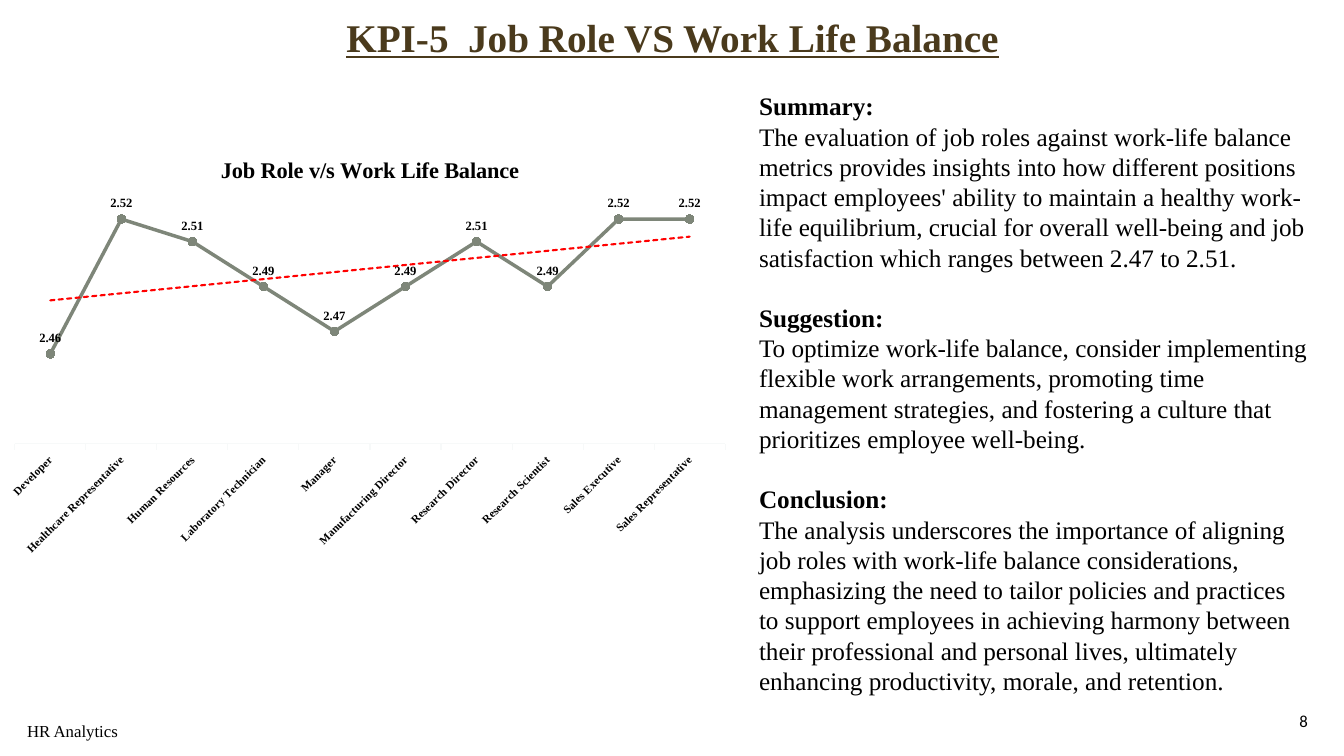
from dataclasses import dataclass

from lxml.etree import SubElement
from pptx import Presentation
from pptx.chart.data import CategoryChartData
from pptx.dml.color import RGBColor as Color
from pptx.enum.chart import XL_CHART_TYPE as ChartType
from pptx.enum.chart import XL_LABEL_POSITION as LabelPosition
from pptx.enum.chart import XL_MARKER_STYLE as MarkerStyle
from pptx.enum.chart import XL_TICK_MARK as TickMark
from pptx.enum.text import MSO_ANCHOR as Anchor
from pptx.enum.text import PP_ALIGN as Align
from pptx.oxml import parse_xml
from pptx.oxml.ns import nsdecls, qn
from pptx.util import Inches, Pt


@dataclass(frozen=True)
class Theme:
    serif: str = "Times New Roman"
    sans: str = "Calibri"
    ink: str = "000000"
    heading: str = "4A3A1C"
    series: str = "7E8679"
    trend: str = "FF0000"
    axis: str = "F7F9F9"
    title_size: float = 28
    body_size: float = 18
    chart_title_size: float = 16
    footer_size: float = 12
    chart_size: float = 10
    label_size: float = 9
    category_size: float = 8
    section_gap: float = 21.6


THEME = Theme()
WIDTH, HEIGHT = Inches(13.33), Inches(7.5)

WORK_LIFE_BALANCE = {
    "Developer": 2.46,
    "Healthcare Representative": 2.52,
    "Human Resources": 2.51,
    "Laboratory Technician": 2.49,
    "Manager": 2.47,
    "Manufacturing Director": 2.49,
    "Research Director": 2.51,
    "Research Scientist": 2.49,
    "Sales Executive": 2.52,
    "Sales Representative": 2.52,
}

SECTIONS = {
    "Summary:": "The evaluation of job roles against work-life balance metrics provides "
    "insights into how different positions impact employees' ability to maintain a healthy "
    "work-life equilibrium, crucial for overall well-being and job satisfaction which "
    "ranges between 2.47 to 2.51.",
    "Suggestion:": "To optimize work-life balance, consider implementing flexible work "
    "arrangements, promoting time management strategies, and fostering a culture that "
    "prioritizes employee well-being.",
    "Conclusion:": "The analysis underscores the importance of aligning job roles with "
    "work-life balance considerations, emphasizing the need to tailor policies and "
    "practices to support employees in achieving harmony between their professional and "
    "personal lives, ultimately enhancing productivity, morale, and retention.",
}


def area(left, top, width, height):
    return (
        round(WIDTH * left / 13.33),
        round(HEIGHT * top / 7.5),
        round(WIDTH * width / 13.33),
        round(HEIGHT * height / 7.5),
    )


def style(font, size, color=THEME.ink, name=THEME.serif, bold=False):
    font.size, font.name, font.bold = Pt(size), name, bold
    font.color.rgb = Color.from_string(color)


def place_title(slide, text, place):
    title = slide.shapes.title
    title.left, title.top, title.width, title.height = place
    frame = title.text_frame
    frame.text = text
    frame.vertical_anchor = Anchor.MIDDLE
    para = frame.paragraphs[0]
    para.alignment, para.line_spacing = Align.CENTER, 0.9
    style(para.font, THEME.title_size, THEME.heading, bold=True)
    para.font.underline = True


def add_frame(slide, place, anchor=Anchor.TOP):
    frame = slide.shapes.add_textbox(*place).text_frame
    frame.word_wrap = True
    frame.vertical_anchor = anchor
    return frame


def add_sections(slide, sections, place):
    frame = add_frame(slide, place)
    para = frame.paragraphs[0]
    for number, (heading, text) in enumerate(sections.items()):
        if number:
            para = frame.add_paragraph()
            para.space_before = Pt(THEME.section_gap)
        para.text = heading
        style(para.font, THEME.body_size, bold=True)
        para = frame.add_paragraph()
        para.text = text
        style(para.font, THEME.body_size)


def add_footer(slide, text, place, anchor, align, name):
    frame = add_frame(slide, place, anchor)
    frame.margin_top = frame.margin_bottom = 0
    para = frame.paragraphs[0]
    para.text, para.alignment = text, align
    style(para.font, THEME.footer_size, name=name)


def set_plot_layout(chart, **shares):
    plot_area = chart._chartSpace.chart.plotArea
    for layout in plot_area.findall(qn("c:layout")):
        plot_area.remove(layout)
    layout = parse_xml(f"<c:layout {nsdecls('c')}><c:manualLayout/></c:layout>")
    settings = {"layoutTarget": "inner", "xMode": "edge", "yMode": "edge", **shares}
    for tag, value in settings.items():
        SubElement(layout[0], qn(f"c:{tag}"), val=str(value))
    plot_area.insert(0, layout)


def add_trend_line(series):
    trend = parse_xml(
        f"<c:trendline {nsdecls('c', 'a')}><c:spPr>"
        f'<a:ln w="{Pt(1.5)}" cap="rnd"><a:solidFill><a:srgbClr val="{THEME.trend}"/>'
        '</a:solidFill><a:prstDash val="sysDash"/></a:ln></c:spPr>'
        '<c:trendlineType val="linear"/><c:dispRSqr val="0"/><c:dispEq val="0"/>'
        "</c:trendline>"
    )
    series._element.find(qn("c:cat")).addprevious(trend)


def style_series(series):
    gray = Color.from_string(THEME.series)
    series.smooth = False
    series.format.line.width = Pt(2.5)
    series.format.line.color.rgb = gray
    marker = series.marker
    marker.style, marker.size = MarkerStyle.CIRCLE, 6
    marker.format.fill.solid()
    marker.format.fill.fore_color.rgb = gray
    marker.format.line.color.rgb = gray
    labels = series.data_labels
    labels.show_value = True
    labels.position = LabelPosition.ABOVE
    labels.number_format, labels.number_format_is_linked = "0.00", False
    style(labels.font, THEME.label_size, bold=True)


def style_axes(chart):
    roles = chart.category_axis
    roles.major_tick_mark = TickMark.OUTSIDE
    roles.has_major_gridlines = False
    roles.format.line.width = Pt(0.75)
    roles.format.line.color.rgb = Color.from_string(THEME.axis)
    style(roles.tick_labels.font, THEME.category_size, bold=True)
    roles._element.find(qn("c:txPr")).find(qn("a:bodyPr")).set("rot", str(-45 * 60000))
    scores = chart.value_axis
    scores.has_major_gridlines = False
    scores.minimum_scale, scores.maximum_scale = 2.42, 2.53
    scores.tick_labels.number_format = "0.00"
    scores.tick_labels.number_format_is_linked = False
    scores.visible = False


def add_trend_chart(slide, title, values, place):
    data = CategoryChartData(number_format="0.00")
    data.categories = list(values)
    data.add_series("Series 1", list(values.values()))
    chart = slide.shapes.add_chart(ChartType.LINE_MARKERS, *place, data).chart
    style(chart.font, THEME.chart_size, name=THEME.sans)
    chart.has_legend = False
    chart.has_title = True
    frame = chart.chart_title.text_frame
    frame.text = title
    style(frame.paragraphs[0].font, THEME.chart_title_size, bold=True)
    plot = chart.plots[0]
    plot.vary_by_categories = False
    style_axes(chart)
    style_series(plot.series[0])
    add_trend_line(plot.series[0])
    set_plot_layout(chart, x=0.02, y=0.124, w=0.96, h=0.514)


def main():
    deck = Presentation()
    deck.slide_width, deck.slide_height = WIDTH, HEIGHT
    page = deck.slides.add_slide(deck.slide_layouts[5])
    place_title(page, "KPI-5  Job Role VS Work Life Balance", area(0.92, 0.15, 11.5, 0.49))
    add_footer(page, "HR Analytics", area(0.17, 7.15, 4.5, 0.4),
               Anchor.TOP, Align.LEFT, THEME.serif)
    add_footer(page, "8", area(10.07, 6.95, 3, 0.4),
               Anchor.MIDDLE, Align.RIGHT, THEME.sans)
    add_trend_chart(page, "Job Role v/s Work Life Balance", WORK_LIFE_BALANCE,
                    area(0, 1.36, 7.34, 4.77))
    add_sections(page, SECTIONS, area(7.43, 0.85, 5.64, 6.16))
    deck.save("out.pptx")


if __name__ == "__main__":
    main()
